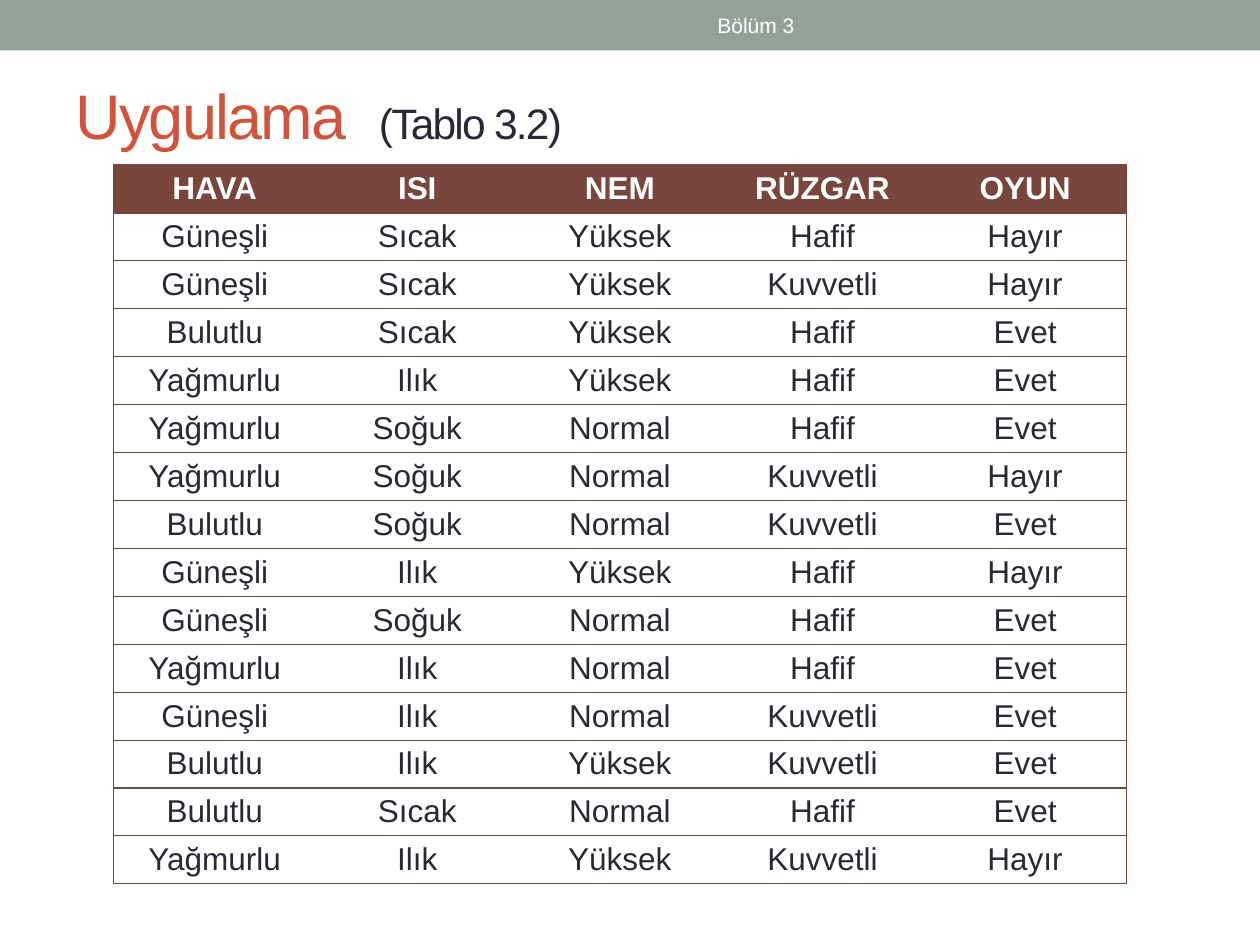
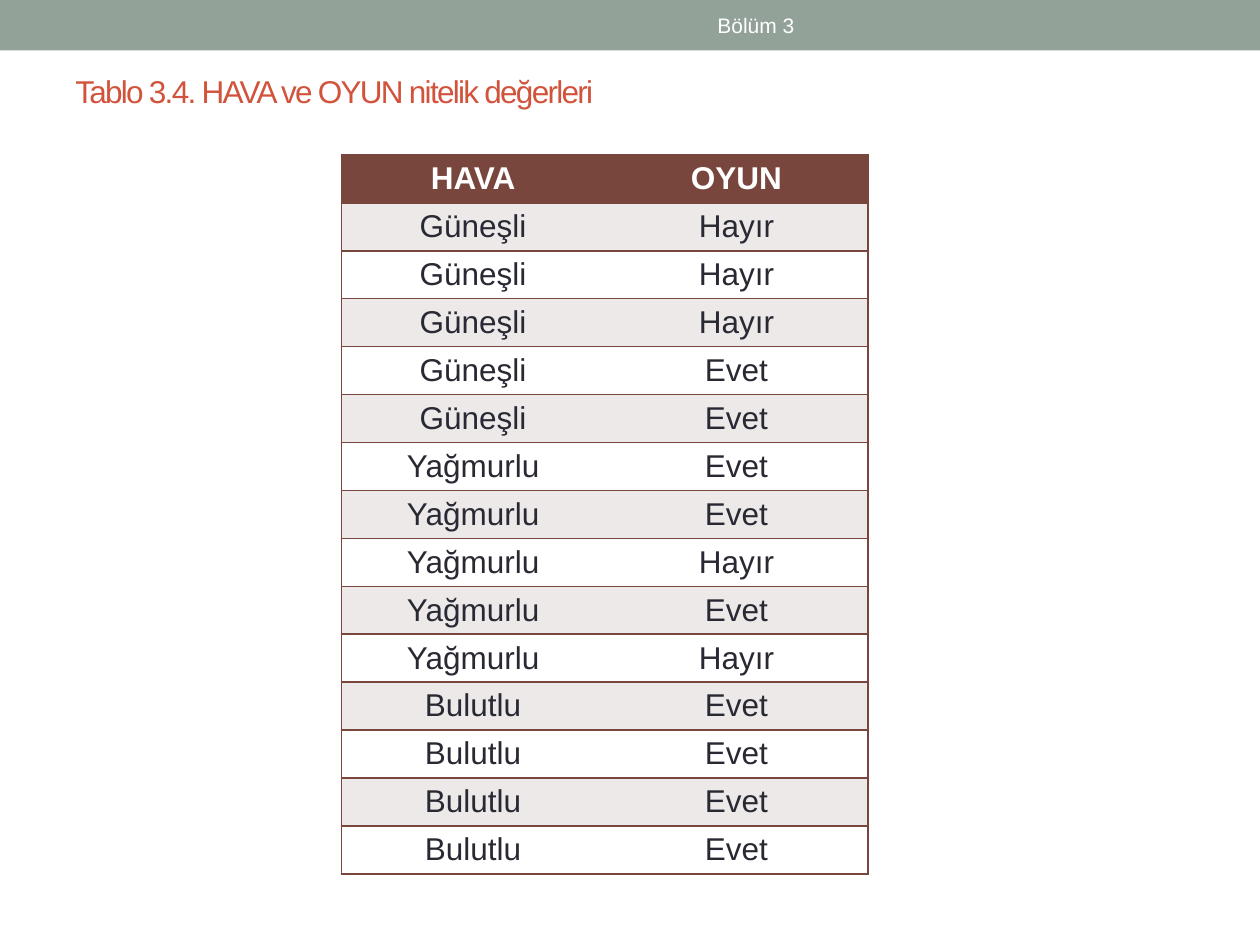
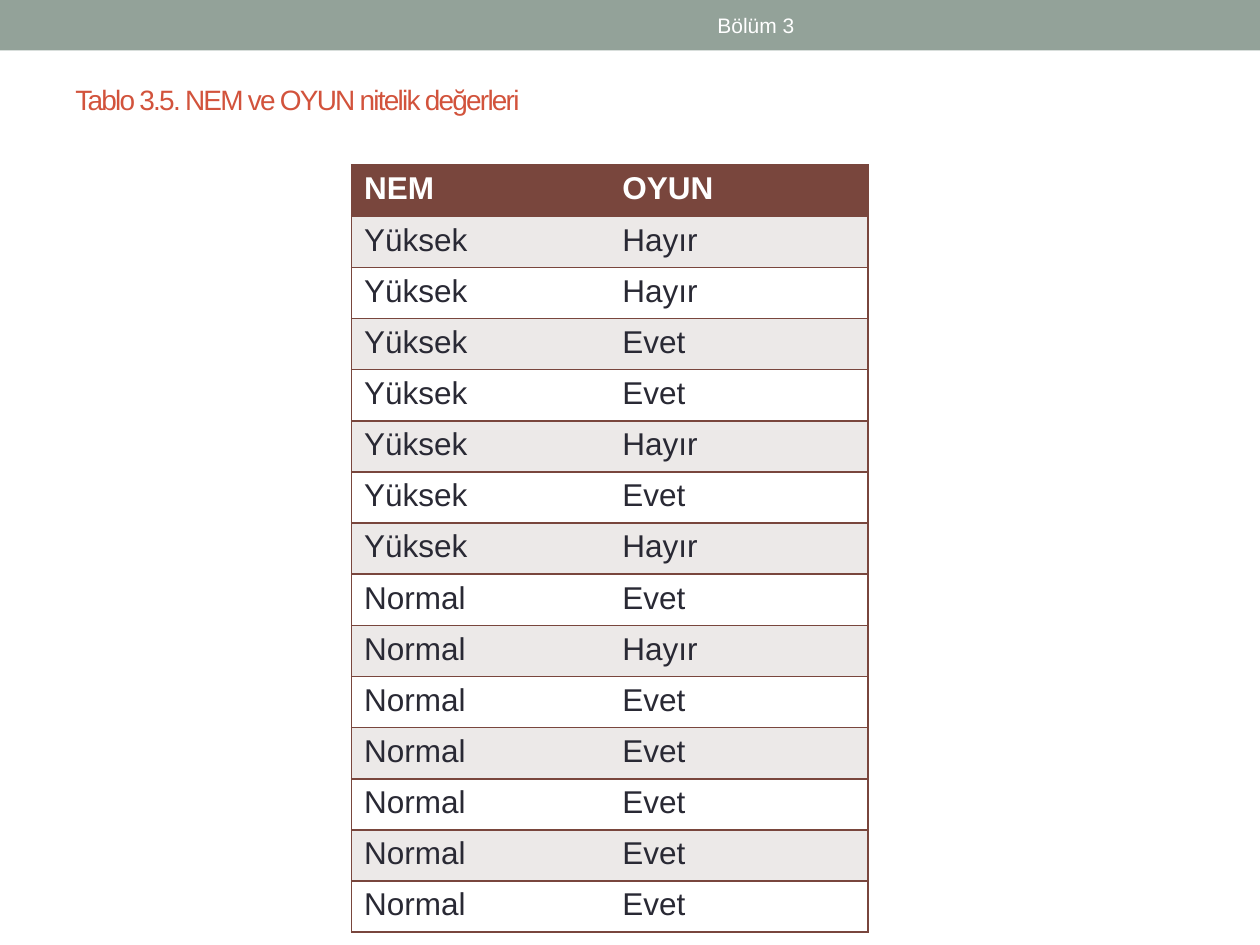
"""Builds three slides with the weather data tables of chapter 3."""
from dataclasses import dataclass

from lxml import etree
from pptx import Presentation
from pptx import util as u
from pptx.dml.color import RGBColor
from pptx.enum import shapes, text
from pptx.oxml import ns


@dataclass(frozen=True)
class Theme:
    font: str = "Arial"
    band: str = "93A299"
    title: str = "D2533C"
    ink: str = "292934"
    light: str = "FFFFFF"
    accent: str = "79463D"
    stripe: str = "ECE9E8"
    chapter_size: float = 12
    cell_size: float = 18
    title_spacing: float = -1


THEME = Theme()
CHAPTER = "Bölüm 3"
BAND_HEIGHT = 0.4
CHAPTER_BOX = (3.75, 0.02, 4.5, 0.36)
CELL_BOTTOM = 0.02

WEATHER = [
    ("HAVA", "ISI", "NEM", "RÜZGAR", "OYUN"),
    ("Güneşli", "Sıcak", "Yüksek", "Hafif", "Hayır"),
    ("Güneşli", "Sıcak", "Yüksek", "Kuvvetli", "Hayır"),
    ("Bulutlu", "Sıcak", "Yüksek", "Hafif", "Evet"),
    ("Yağmurlu", "Ilık", "Yüksek", "Hafif", "Evet"),
    ("Yağmurlu", "Soğuk", "Normal", "Hafif", "Evet"),
    ("Yağmurlu", "Soğuk", "Normal", "Kuvvetli", "Hayır"),
    ("Bulutlu", "Soğuk", "Normal", "Kuvvetli", "Evet"),
    ("Güneşli", "Ilık", "Yüksek", "Hafif", "Hayır"),
    ("Güneşli", "Soğuk", "Normal", "Hafif", "Evet"),
    ("Yağmurlu", "Ilık", "Normal", "Hafif", "Evet"),
    ("Güneşli", "Ilık", "Normal", "Kuvvetli", "Evet"),
    ("Bulutlu", "Ilık", "Yüksek", "Kuvvetli", "Evet"),
    ("Bulutlu", "Sıcak", "Normal", "Hafif", "Evet"),
    ("Yağmurlu", "Ilık", "Yüksek", "Kuvvetli", "Hayır"),
]
OUTLOOK = [
    ("HAVA", "OYUN"),
    ("Güneşli", "Hayır"), ("Güneşli", "Hayır"), ("Güneşli", "Hayır"),
    ("Güneşli", "Evet"), ("Güneşli", "Evet"),
    ("Yağmurlu", "Evet"), ("Yağmurlu", "Evet"), ("Yağmurlu", "Hayır"),
    ("Yağmurlu", "Evet"), ("Yağmurlu", "Hayır"),
    ("Bulutlu", "Evet"), ("Bulutlu", "Evet"), ("Bulutlu", "Evet"),
    ("Bulutlu", "Evet"),
]
HUMIDITY = [
    ("NEM", "OYUN"),
    ("Yüksek", "Hayır"), ("Yüksek", "Hayır"), ("Yüksek", "Evet"),
    ("Yüksek", "Evet"), ("Yüksek", "Hayır"), ("Yüksek", "Evet"),
    ("Yüksek", "Hayır"),
    ("Normal", "Evet"), ("Normal", "Hayır"), ("Normal", "Evet"),
    ("Normal", "Evet"), ("Normal", "Evet"), ("Normal", "Evet"),
    ("Normal", "Evet"),
]

SLIDES = [
    {"title": [("Uygulama", 36, THEME.title), ("\t(Tablo 3.2)", 24.3, THEME.ink)],
     "title_box": (0.5, 0.58, 9, 0.65), "tab": 2.41,
     "rows": WEATHER, "table_box": (0.9, 1.31, 8.04, 5.71),
     "centred": True, "striped": False, "rule": 0.75},
    {"title": [("Tablo 3.4. HAVA ve OYUN nitelik değerleri", 18, THEME.title)],
     "title_box": (0.5, 0.45, 9, 0.55),
     "rows": OUTLOOK, "table_box": (2.71, 1.23, 4.18, 5.71),
     "centred": True, "striped": True, "rule": 1},
    {"title": [("Tablo 3.5. NEM ve OYUN nitelik değerleri", 16, THEME.title)],
     "title_box": (0.5, 0.58, 8.91, 0.41),
     "rows": HUMIDITY, "table_box": (2.79, 1.31, 4.1, 6.09),
     "centred": False, "striped": True, "rule": 1},
]


def inches(box):
    return [u.Inches(length) for length in box]


def add_run(paragraph, words, size, colour, bold=False):
    run = paragraph.add_run()
    run.text = words
    run.font.name = THEME.font
    run.font.size = u.Pt(size)
    run.font.bold = bold
    run.font.color.rgb = RGBColor.from_string(colour)
    return run


def add_line_of_text(slide, box):
    frame = slide.shapes.add_textbox(*inches(box)).text_frame
    frame.word_wrap = True
    frame.vertical_anchor = text.MSO_ANCHOR.MIDDLE
    return frame.paragraphs[0]


def add_band(slide, width):
    band = slide.shapes.add_shape(
        shapes.MSO_SHAPE.RECTANGLE, 0, 0, width, u.Inches(BAND_HEIGHT))
    band.shadow.inherit = False
    band.fill.solid()
    band.fill.fore_color.rgb = RGBColor.from_string(THEME.band)
    band.line.fill.background()
    chapter = add_line_of_text(slide, CHAPTER_BOX)
    chapter.alignment = text.PP_ALIGN.CENTER
    add_run(chapter, CHAPTER, THEME.chapter_size, THEME.light)


def add_title(slide, content):
    title = add_line_of_text(slide, content["title_box"])
    if "tab" in content:
        tabs = etree.SubElement(title._p.get_or_add_pPr(), ns.qn("a:tabLst"))
        etree.SubElement(tabs, ns.qn("a:tab"),
                         pos=str(u.Inches(content["tab"])), algn="l")
    for words, size, colour in content["title"]:
        run = add_run(title, words, size, colour)
        run.font._element.set("spc", str(THEME.title_spacing * 100))


def set_borders(cell, weights):
    properties = cell._tc.get_or_add_tcPr()
    for side, weight in weights.items():
        border = etree.SubElement(properties, ns.qn(f"a:ln{side}"), w=str(u.Pt(weight)))
        if weight:
            fill = etree.SubElement(border, ns.qn("a:solidFill"))
            etree.SubElement(fill, ns.qn("a:srgbClr"), val=THEME.accent)
        else:
            etree.SubElement(border, ns.qn("a:noFill"))


def add_data_table(slide, content):
    rows, rule = content["rows"], content["rule"]
    last_column = len(rows[0]) - 1
    left, top, width, height = inches(content["table_box"])
    table = slide.shapes.add_table(
        len(rows), last_column + 1, left, top, width, height).table
    table.horz_banding = False
    for column in table.columns:
        column.width = width // (last_column + 1)
    for r, values in enumerate(rows):
        table.rows[r].height = height // len(rows)
        header = r == 0
        stripe = THEME.stripe if content["striped"] and r % 2 else THEME.light
        for c, value in enumerate(values):
            cell = table.cell(r, c)
            cell.margin_bottom = u.Inches(CELL_BOTTOM)
            set_borders(cell, {"L": rule if c == 0 else 0,
                               "R": rule if c == last_column else 0,
                               "T": rule, "B": rule})
            cell.fill.solid()
            cell.fill.fore_color.rgb = RGBColor.from_string(
                THEME.accent if header else stripe)
            paragraph = cell.text_frame.paragraphs[0]
            if content["centred"]:
                paragraph.alignment = text.PP_ALIGN.CENTER
            add_run(paragraph, value, THEME.cell_size,
                    THEME.light if header else THEME.ink, header)


def main():
    deck = Presentation()
    deck.slide_width, deck.slide_height = u.Inches(10), u.Inches(7.5)
    for content in SLIDES:
        slide = deck.slides.add_slide(deck.slide_layouts[6])
        add_band(slide, deck.slide_width)
        add_title(slide, content)
        add_data_table(slide, content)
    deck.save("out.pptx")


if __name__ == "__main__":
    main()
